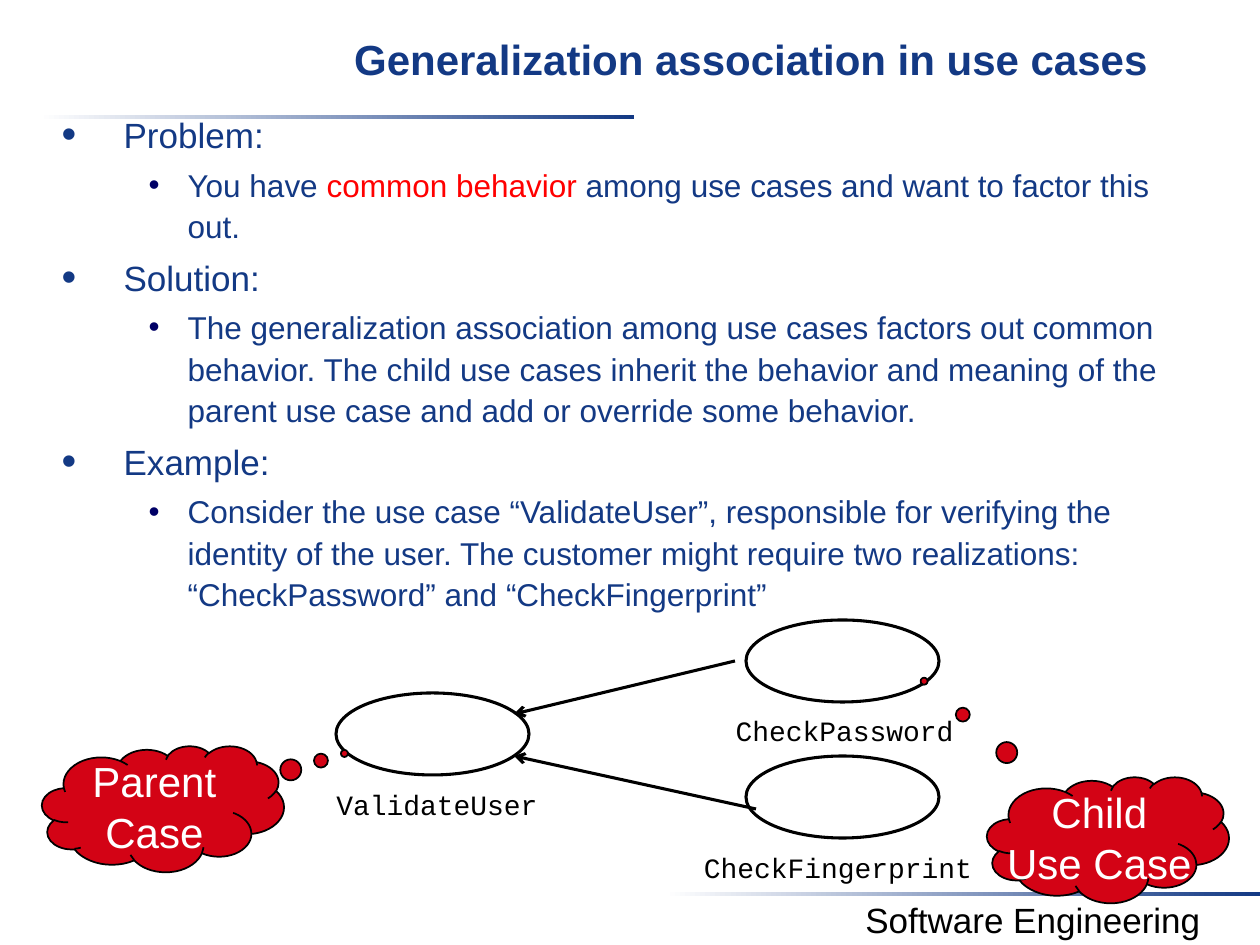
"""Builds a slide on generalization between use cases."""
import pptx
import pptx.dml.color
import pptx.enum.shapes
import pptx.enum.text
import pptx.oxml
import pptx.oxml.ns
import pptx.util

PX = 914400 / 126
COLORS = {"navy": "133984", "bullet": "000066", "red": "FF0000",
          "cloud": "D30315", "black": "000000", "white": "FFFFFF"}
RGB = {name: pptx.dml.color.RGBColor.from_string(value) for name, value in COLORS.items()}
SHAPES = pptx.enum.shapes.MSO_SHAPE
CENTER = pptx.enum.text.PP_ALIGN.CENTER
NAMESPACE = pptx.oxml.ns.nsdecls("a")


def px(*lengths):
    return [pptx.util.Emu(round(length * PX)) for length in lengths]


def add_run(paragraph, text, size, color, font="Arial", bold=False):
    run = paragraph.add_run()
    run.text = text
    run.font.size = pptx.util.Pt(size)
    run.font.name = font
    run.font.bold = bold
    run.font.color.rgb = RGB[color]


presentation = pptx.Presentation()
presentation.slide_width, presentation.slide_height = px(1260, 945)
slide = presentation.slides.add_slide(presentation.slide_layouts[1])
title, body = slide.placeholders

title.left, title.top, title.width, title.height = px(242, 25, 1018, 95)
title.text_frame.margin_top = px(8)[0]
title.text_frame.vertical_anchor = pptx.enum.text.MSO_ANCHOR.TOP
title.text_frame.auto_size = pptx.enum.text.MSO_AUTO_SIZE.NONE
title_paragraph = title.text_frame.paragraphs[0]
title_paragraph.alignment = CENTER
add_run(title_paragraph, "Generalization association in use cases", 24, "navy", bold=True)

body.left, body.top, body.width, body.height = px(49, 103, 1138, 678)
body.text_frame.auto_size = pptx.enum.text.MSO_AUTO_SIZE.NONE
outline = [
    (0, [("Problem:", "navy")]),
    (1, [("You have ", "navy"), ("common behavior ", "red"),
         ("among use cases and want to factor this out.", "navy")]),
    (0, [("Solution:", "navy")]),
    (1, [("The generalization association among use cases factors out common behavior. "
          "The child use cases inherit the behavior and meaning of the parent use case "
          "and add or override some behavior.", "navy")]),
    (0, [("Example:", "navy")]),
    (1, [("Consider the use case “ValidateUser”, responsible for verifying the identity "
          "of the user. The customer might require two realizations: “CheckPassword” "
          "and “CheckFingerprint”", "navy")]),
]
level_styles = [
    (20, 62, -62, "navy", 120),
    (18, 126, -39, "bullet", 100),
]
for index, (level, runs) in enumerate(outline):
    size, margin, indent, bullet_color, bullet_size = level_styles[level]
    paragraph = body.text_frame.paragraphs[0] if index == 0 else body.text_frame.add_paragraph()
    paragraph.level = level
    paragraph.line_spacing = 1.1
    for text, color in runs:
        add_run(paragraph, text, size, color)
    properties = paragraph._p.get_or_add_pPr()
    properties.set("marL", str(px(margin)[0]))
    properties.set("indent", str(px(indent)[0]))
    for xml in (f'<a:buClr {NAMESPACE}><a:srgbClr val="{COLORS[bullet_color]}"/></a:buClr>',
                f'<a:buSzPct {NAMESPACE} val="{bullet_size * 1000}"/>',
                f'<a:buFont {NAMESPACE} typeface="Arial"/>',
                f'<a:buChar {NAMESPACE} char="•"/>'):
        properties.append(pptx.oxml.parse_xml(xml))

for left, top in [(39, 115), (665, 892)]:
    rule = slide.shapes.add_shape(SHAPES.RECTANGLE, *px(left, top, 595, 4))
    rule.shadow.inherit = False
    rule.line.fill.background()
    rule.fill.gradient()
    rule.fill.gradient_angle = 0
    for stop, color in zip(rule.fill.gradient_stops, ("white", "navy")):
        stop.color.rgb = RGB[color]

footer = slide.shapes.add_textbox(*px(806, 892, 454, 55))
footer.text_frame.word_wrap = True
footer_paragraph = footer.text_frame.paragraphs[0]
footer_paragraph.alignment = CENTER
add_run(footer_paragraph, "Software Engineering", 20, "black")

use_cases = [
    ("ValidateUser", 336, 693, 336, 788, 202),
    ("CheckPassword", 746, 620, 735, 714, 219),
    ("CheckFingerprint", 746, 756, 703, 851, 270),
]
for name, left, top, label_left, label_top, label_width in use_cases:
    ellipse = slide.shapes.add_shape(SHAPES.OVAL, *px(left, top, 193, 82))
    ellipse.shadow.inherit = False
    ellipse.fill.background()
    ellipse.line.color.rgb = RGB["black"]
    ellipse.line.width = pptx.util.Pt(1.75)
    label = slide.shapes.add_textbox(*px(label_left, label_top, label_width, 34))
    frame = label.text_frame
    frame.margin_left = frame.margin_top = frame.margin_right = frame.margin_bottom = 0
    frame.word_wrap = False
    frame.paragraphs[0].alignment = CENTER
    add_run(frame.paragraphs[0], name, 16, "black", "Courier New")

for ends in [(735, 661, 514, 714), (756, 809, 514, 756)]:
    arrow = slide.shapes.add_connector(pptx.enum.shapes.MSO_CONNECTOR.STRAIGHT, *px(*ends))
    arrow.line.color.rgb = RGB["black"]
    arrow.line.width = pptx.util.Pt(1.75)
    arrow.line._get_or_add_ln().append(
        pptx.oxml.parse_xml(f'<a:tailEnd {NAMESPACE} type="arrow"/>'))
    arrow._element.spPr.append(pptx.oxml.parse_xml(f"<a:effectLst {NAMESPACE}/>"))

clouds = [
    (("Parent", "Case"), 42, 746, (0.75, -0.44)),
    (("Child", "Use Case"), 987, 777, (-0.76, -1.26)),
]
for lines, left, top, pointer in clouds:
    cloud = slide.shapes.add_shape(SHAPES.CLOUD_CALLOUT, *px(left, top, 242, 126))
    cloud.shadow.inherit = False
    cloud.adjustments[0], cloud.adjustments[1] = pointer
    cloud.fill.solid()
    cloud.fill.fore_color.rgb = RGB["cloud"]
    cloud.line.color.rgb = RGB["black"]
    cloud.line.width = pptx.util.Pt(1)
    frame = cloud.text_frame
    frame.word_wrap = False
    frame.vertical_anchor = pptx.enum.text.MSO_ANCHOR.MIDDLE
    for index, line in enumerate(lines):
        paragraph = frame.paragraphs[0] if index == 0 else frame.add_paragraph()
        paragraph.alignment = CENTER
        add_run(paragraph, line, 24, "white")

presentation.save("out.pptx")
